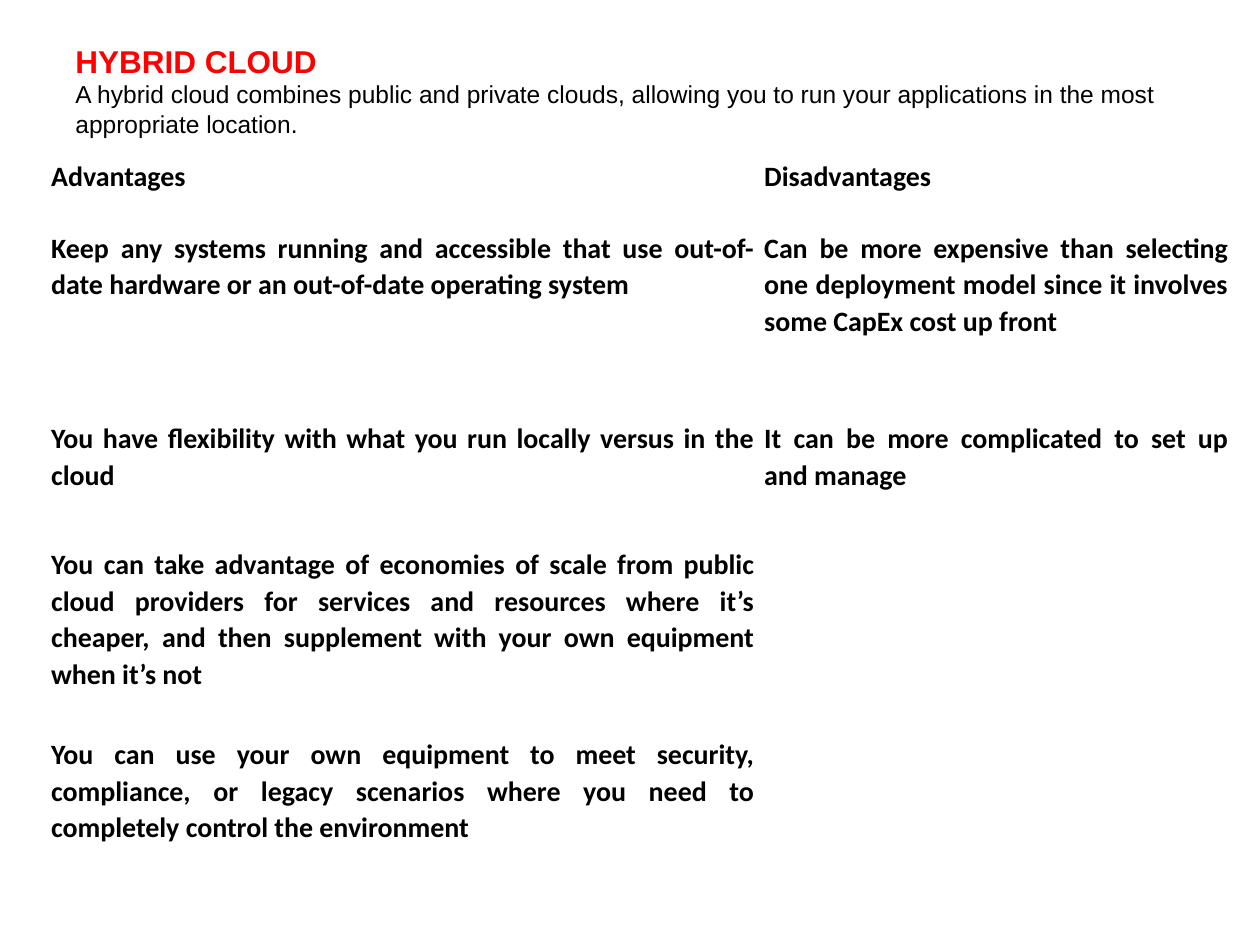
from lxml.etree import SubElement
from pptx import Presentation
from pptx.dml.color import RGBColor
from pptx.enum.text import MSO_ANCHOR, PP_ALIGN
from pptx.oxml.ns import qn
from pptx.util import Pt

COLORS = {"title": "FF0000", "text": "000000", "paper": "FFFFFF"}


def set_font(p, name, size, color, bold):
    p.font.name = name
    p.font.size = Pt(size)
    p.font.bold = bold
    p.font.color.rgb = RGBColor.from_string(COLORS[color])


def add_border(cell, side, width):
    ln = SubElement(cell._tc.get_or_add_tcPr(), qn(f"a:ln{side}"), w=str(Pt(width)))
    fill = SubElement(ln, qn("a:solidFill"))
    SubElement(fill, qn("a:srgbClr"), val=COLORS["paper"])


prs = Presentation()
prs.slide_width = Pt(720)
prs.slide_height = Pt(540)
s = prs.slides.add_slide(prs.slide_layouts[6])

intro = [
    ("HYBRID CLOUD", 18, "title", True),
    ("A hybrid cloud combines public and private clouds, allowing you to run "
     "your applications in the most appropriate location.", 14, "text", False),
]
tf = s.shapes.add_textbox(Pt(36), Pt(1.5), Pt(638), Pt(108.7)).text_frame
tf.word_wrap = True
tf.vertical_anchor = MSO_ANCHOR.TOP
tf.margin_top = Pt(22.3)
for i, (text, size, color, bold) in enumerate(intro):
    p = tf.paragraphs[0] if i == 0 else tf.add_paragraph()
    p.text = text
    set_font(p, "Arial", size, color, bold)

rows = [
    ("Advantages", "Disadvantages"),
    ("Keep any systems running and accessible that use out-of-date hardware "
     "or an out-of-date operating system",
     "Can be more expensive than selecting one deployment model since it "
     "involves some CapEx cost up front"),
    ("You have flexibility with what you run locally versus in the cloud",
     "It can be more complicated to set up and manage"),
    ("You can take advantage of economies of scale from public cloud providers "
     "for services and resources where it’s cheaper, and then supplement with "
     "your own equipment when it’s not", ""),
    ("You can use your own equipment to meet security, compliance, or legacy "
     "scenarios where you need to completely control the environment", ""),
]
widths = [407.5, 270.7]
heights = [41, 108.7, 72, 108.7, 108.7]
last = len(rows) - 1
table = s.shapes.add_table(len(rows), len(widths), Pt(23.8), Pt(90),
                           Pt(sum(widths)), Pt(sum(heights))).table
for column, width in zip(table.columns, widths):
    column.width = Pt(width)
for r, (texts, height) in enumerate(zip(rows, heights)):
    table.rows[r].height = Pt(height)
    for c, text in enumerate(texts):
        cell = table.cell(r, c)
        cell.margin_left = cell.margin_right = 0
        cell.margin_top = cell.margin_bottom = 0
        for side in "LRTB":
            thick = (r, side) in ((0, "B"), (last, "T"))
            add_border(cell, side, 3 if thick else 1)
        cell.fill.solid()
        cell.fill.fore_color.rgb = RGBColor.from_string(COLORS["paper"])
        if text:
            p = cell.text_frame.paragraphs[0]
            p.text = text
            p.alignment = PP_ALIGN.JUSTIFY
            p.line_spacing = 1.07
            p.space_before = Pt(1.8)
            p._p.get_or_add_pPr().set("marL", str(Pt(5.4)))
            set_font(p, "Calibri", 16, "text", True)

prs.save("out.pptx")
